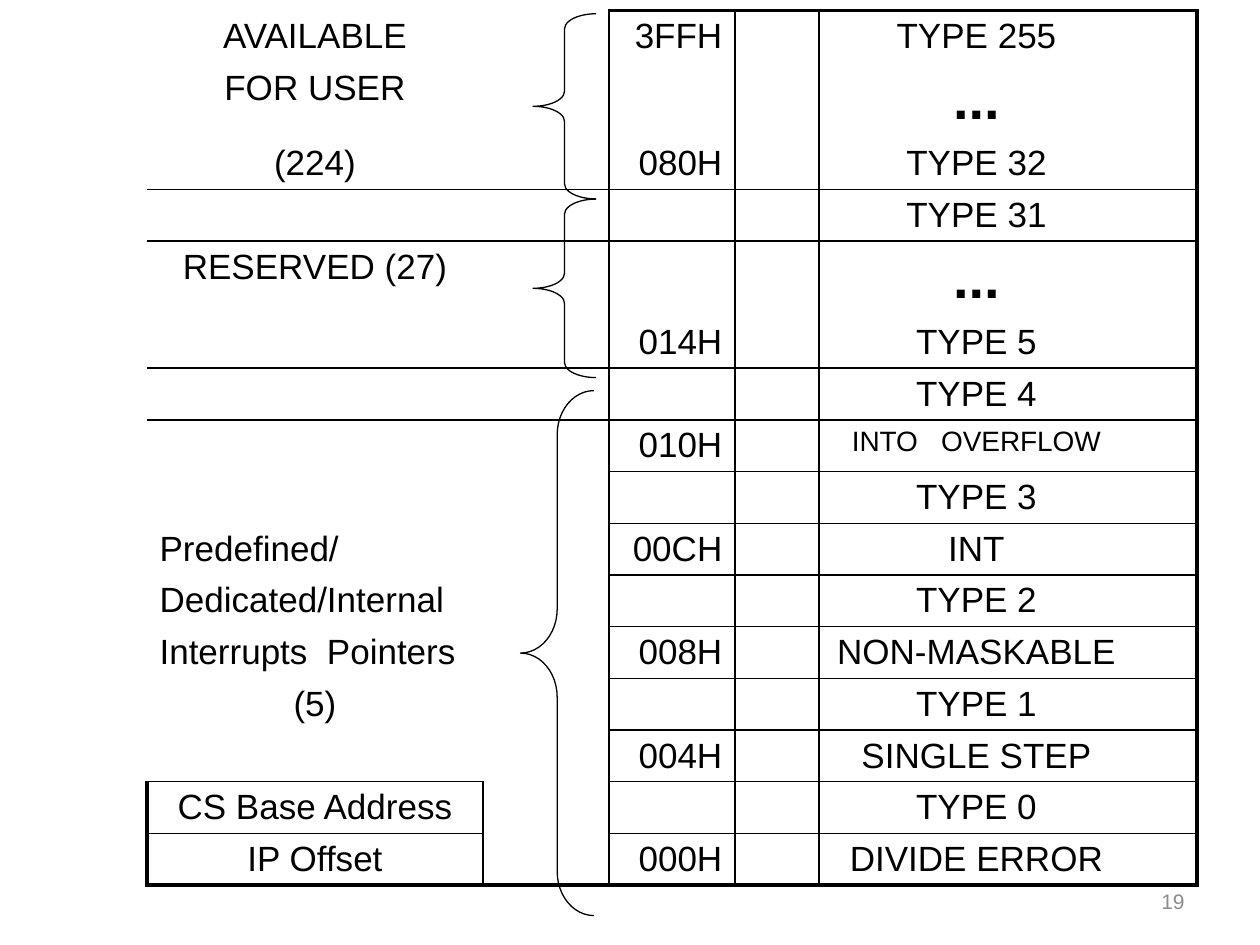
from collections import defaultdict
from lxml.etree import SubElement as Sub
from pptx import Presentation
from pptx.dml.color import RGBColor
from pptx.enum.shapes import MSO_SHAPE as Shape
from pptx.enum.text import MSO_ANCHOR as Anchor, PP_ALIGN as Align
from pptx.oxml.ns import qn
from pptx.util import Pt

BLACK = RGBColor(0, 0, 0)
GREY = RGBColor(0x8C, 0x8C, 0x8C)
PLAIN = "{2D5ABB26-0587-4C30-8999-92F81FD0307C}"
THIN, THICK = 1, 2.25
WIDTHS = [192, 72, 72, 48, 180, 36]
DOTS = "..."
SMALL = "INTO   OVERFLOW"
MEANING, ADDRESS, VECTOR = 0, 2, 4
ROWS = [
    ("AVAILABLE", "3FFH", "TYPE 255"),
    ("FOR USER", "", DOTS),
    ("(224)", "080H", "TYPE 32"),
    ("", "", "TYPE 31"),
    ("RESERVED (27)", "", DOTS),
    ("", "014H", "TYPE 5"),
    ("", "", "TYPE 4"),
    ("", "010H", SMALL),
    ("", "", "TYPE 3"),
    ("Predefined/", "00CH", "INT"),
    ("Dedicated/Internal", "", "TYPE 2"),
    ("Interrupts  Pointers", "008H", "NON-MASKABLE"),
    ("(5)", "", "TYPE 1"),
    ("", "004H", "SINGLE STEP"),
    ("CS Base Address", "", "TYPE 0"),
    ("IP Offset", "000H", "DIVIDE ERROR"),
]
LEFT = ("Predefined/", "Dedicated/Internal", "Interrupts  Pointers")
BRACES = [
    (297.4, 223.2, 42, 300, 0.6),
    (304.6, 113.8, 36, 102, 0.24),
    (304.6, 7.9, 36, 105.8, 0.24),
]


def write(frame, text, align, size=20, color=BLACK, bold=False):
    para = frame.paragraphs[0]
    para.alignment = align
    run = para.add_run()
    run.text = text
    font = run.font
    font.name, font.size, font.bold = "Arial", Pt(size), bold
    font.color.rgb = color


def find_edges():
    last, end = len(ROWS) - 1, len(WIDTHS) - 1
    edges = defaultdict(dict)

    def below(row, cols, width=THIN):
        for col in cols:
            edges[row, col]["B"] = width
            if row < last:
                edges[row + 1, col]["T"] = width

    def right(row, col, width=THIN):
        edges[row, col]["R"] = width
        if col < end:
            edges[row, col + 1]["L"] = width

    for row in range(last + 1):
        right(row, 1)
        right(row, 2)
        right(row, end, THICK)
    for col in range(2, end + 1):
        edges[0, col]["T"] = THICK
    for row in (2, 5):
        below(row, range(end + 1))
    for row in range(6, last):
        below(row, (3, end))
    for row in range(7, last, 2):
        below(row, (2, 4))
    for row in (last - 1, last):
        below(row - 1, (0,))
        right(row, 0)
        edges[row, 0]["L"] = THICK
    below(last, range(end + 1), THICK)
    return edges


def draw_edges(cell, sides):
    props = cell._tc.get_or_add_tcPr()
    for side in "LRTB":
        if side in sides:
            line = Sub(props, qn(f"a:ln{side}"), w=str(Pt(sides[side])))
            fill = Sub(line, qn("a:solidFill"))
            Sub(fill, qn("a:srgbClr"), val=str(BLACK))
    cell.fill.background()


def fill_cell(cell, col, text):
    if col == ADDRESS:
        align = Align.RIGHT
    else:
        align = Align.LEFT if text in LEFT else Align.CENTER
    size = {DOTS: 32, SMALL: 16}.get(text, 20)
    write(cell.text_frame, text, align, size, bold=text == DOTS)


def add_map(slide):
    tall = [42.8 if DOTS in row else 29.5 for row in ROWS]
    frame = slide.shapes.add_table(
        len(ROWS), len(WIDTHS), Pt(84), Pt(6), Pt(sum(WIDTHS)), Pt(sum(tall)))
    table = frame.table
    table.first_row = table.horz_banding = False
    table._tbl.tblPr.find(qn("a:tableStyleId")).text = PLAIN
    for col, width in zip(table.columns, WIDTHS):
        col.width = Pt(width)
    for row, height in zip(table.rows, tall):
        row.height = Pt(height)
    edges = find_edges()
    for r, texts in enumerate(ROWS):
        for c in range(len(WIDTHS)):
            draw_edges(table.cell(r, c), edges[r, c])
        for c, text in zip((MEANING, ADDRESS, VECTOR), texts):
            if text:
                fill_cell(table.cell(r, c), c, text)


def add_brace(group, x, y, w, h, curl):
    brace = group.shapes.add_shape(
        Shape.LEFT_BRACE, Pt(x), Pt(y), Pt(w), Pt(h))
    brace.adjustments[0] = curl
    brace.adjustments[1] = 0.5
    brace.shadow.inherit = False
    brace.fill.background()
    brace.line.color.rgb = BLACK
    brace.line.width = Pt(0.75)


def add_number(slide, text):
    box = slide.shapes.add_textbox(Pt(516), Pt(500.4), Pt(168), Pt(28.8))
    frame = box.text_frame
    frame.word_wrap = True
    frame.vertical_anchor = Anchor.MIDDLE
    write(frame, text, Align.RIGHT, 12, GREY)


def main():
    deck = Presentation()
    deck.slide_width, deck.slide_height = Pt(720), Pt(540)
    slide = deck.slides.add_slide(deck.slide_layouts[6])
    add_map(slide)
    group = slide.shapes.add_group_shape()
    for brace in BRACES:
        add_brace(group, *brace)
    add_number(slide, "19")
    deck.save("out.pptx")


if __name__ == "__main__":
    main()
